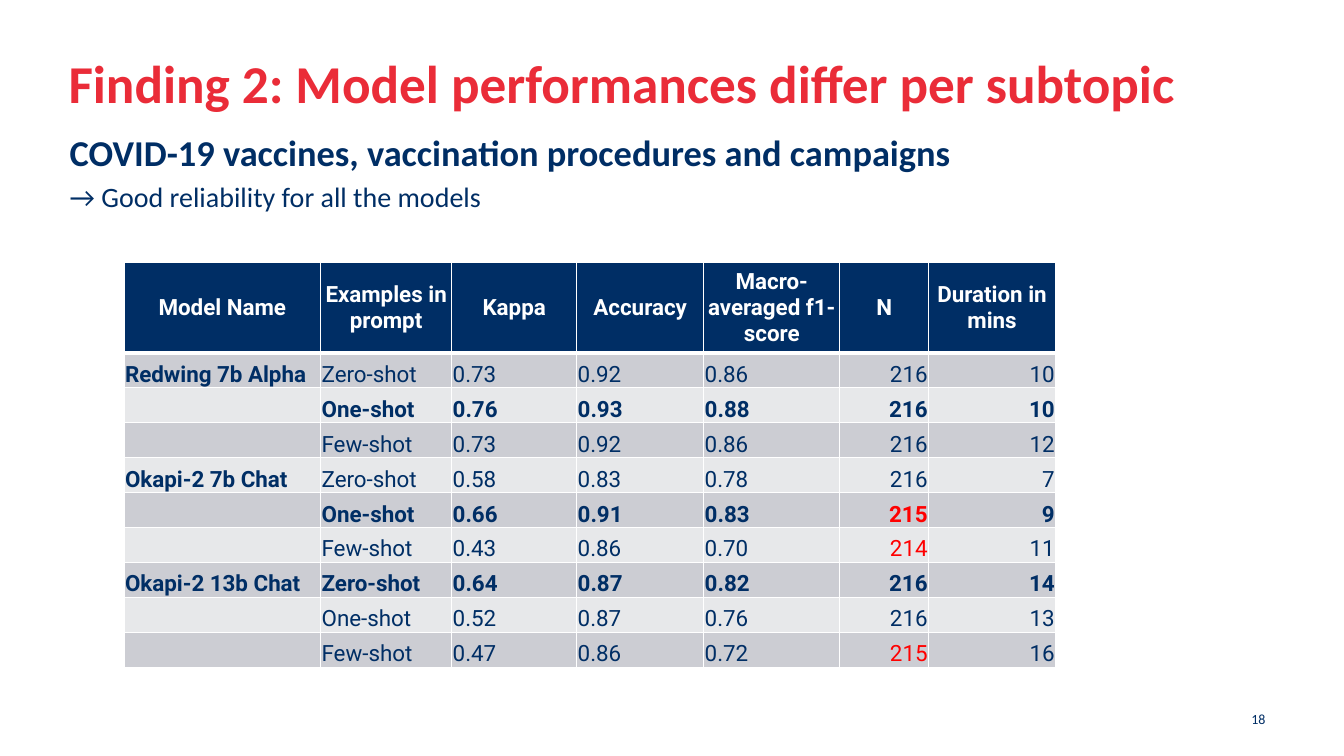
from dataclasses import dataclass

from lxml import etree
from pptx import Presentation
from pptx.dml.color import RGBColor
from pptx.enum.text import MSO_ANCHOR, MSO_AUTO_SIZE, PP_ALIGN
from pptx.oxml.ns import qn
from pptx.util import Inches, Pt

LEFT, CENTER, RIGHT = PP_ALIGN.LEFT, PP_ALIGN.CENTER, PP_ALIGN.RIGHT
TOP, MIDDLE, BOTTOM = MSO_ANCHOR.TOP, MSO_ANCHOR.MIDDLE, MSO_ANCHOR.BOTTOM
NO_AUTOFIT = MSO_AUTO_SIZE.NONE
SLIDE_W, SLIDE_H = Inches(13.33), Inches(7.5)


@dataclass(frozen=True)
class Theme:
    text_font: str = "Calibri"
    table_font: str = "Roboto"
    navy: str = "002E65"
    red: str = "EA2C38"
    alert: str = "FF0000"
    white: str = "FFFFFF"
    bands: tuple = ("CCCDD3", "E7E8EA")
    title: int = 38
    heading: int = 26
    body: int = 20
    table: int = 16
    number: int = 10


THEME = Theme()

# Table content: the best kappa of each model is bold, a short sample is red
HEADERS = ["Model Name", "Examples in prompt", "Kappa", "Accuracy",
           "Macro-averaged f1- score", "N", "Duration in mins"]
COLUMN_WEIGHTS = [195, 130, 124, 126, 135, 88, 126]
HEADER_WEIGHT, ROW_WEIGHT = 90, 34.67
SHOTS = ["Zero-shot", "One-shot", "Few-shot"]
FULL_SAMPLE = 216
RESULTS = {
    "Redwing 7b Alpha": [(0.73, 0.92, 0.86, 216, 10),
                         (0.76, 0.93, 0.88, 216, 10),
                         (0.73, 0.92, 0.86, 216, 12)],
    "Okapi-2 7b Chat": [(0.58, 0.83, 0.78, 216, 7),
                        (0.66, 0.91, 0.83, 215, 9),
                        (0.43, 0.86, 0.70, 214, 11)],
    "Okapi-2 13b Chat": [(0.64, 0.87, 0.82, 216, 14),
                         (0.52, 0.87, 0.76, 216, 13),
                         (0.47, 0.86, 0.72, 215, 16)],
}


def box(left, top, width, height):
    """Turn percentages of the slide into a position and size."""
    return (int(SLIDE_W * left / 100), int(SLIDE_H * top / 100),
            int(SLIDE_W * width / 100), int(SLIDE_H * height / 100))


def place(sp, area):
    sp.left, sp.top, sp.width, sp.height = area


def style(p, font, size, color, bold=False, align=LEFT):
    p.alignment = align
    p.font.name, p.font.size, p.font.bold = font, Pt(size), bold
    p.font.color.rgb = RGBColor.from_string(color)


def plain_frame(sp):
    tf = sp.text_frame
    tf.margin_left = tf.margin_top = tf.margin_right = tf.margin_bottom = 0
    tf.vertical_anchor, tf.auto_size, tf.word_wrap = TOP, NO_AUTOFIT, True
    return tf


def add_title(s, text):
    sp = s.shapes.title
    place(sp, box(5.1, 6.67, 89.8, 11.6))
    tf = plain_frame(sp)
    tf.text = text
    style(tf.paragraphs[0], THEME.text_font, THEME.title, THEME.red, True)


def add_body(s, lines):
    sp = s.placeholders[1]
    place(sp, box(5.18, 17.2, 89.72, 12.93))
    tf = plain_frame(sp)
    tf.text = "\n".join(text for text, _, _ in lines)
    for p, (_, size, bold) in zip(tf.paragraphs, lines):
        style(p, THEME.text_font, size, THEME.navy, bold)
        p.space_before = Pt(size * 0.2)
        pPr = p._p.get_or_add_pPr()
        pPr.set("marL", "0")
        pPr.set("indent", "0")
        bullet = etree.Element(qn("a:buNone"))
        pPr.find(qn("a:spcBef")).addnext(bullet)


def add_slide_number(s, text):
    tf = s.shapes.add_textbox(*box(73.22, 92.4, 21.68, 5.33)).text_frame
    tf.word_wrap, tf.vertical_anchor = True, MIDDLE
    tf.text = text
    p = tf.paragraphs[0]
    style(p, THEME.text_font, THEME.number, THEME.navy, align=RIGHT)
    p.space_after = Pt(6)


def set_borders(cell, widths):
    tcPr = cell._tc.get_or_add_tcPr()
    for i, (side, width) in enumerate(zip("LRTB", widths)):
        ln = etree.Element(qn("a:ln" + side), w=str(Pt(width)))
        fill = etree.SubElement(ln, qn("a:solidFill"))
        etree.SubElement(fill, qn("a:srgbClr"), val=THEME.white)
        tcPr.insert(i, ln)


def fill_cell(cell, text, fill, color, bold, align, anchor, borders):
    cell.margin_left = cell.margin_top = cell.margin_right = Inches(0.01)
    cell.margin_bottom = 0
    cell.vertical_anchor = anchor
    cell.fill.solid()
    cell.fill.fore_color.rgb = RGBColor.from_string(fill)
    set_borders(cell, borders)
    cell.text = text
    style(cell.text_frame.paragraphs[0], THEME.table_font, THEME.table,
          color, bold, align)


def result_rows():
    """Yield the texts of each row, whether it is best, and its sample size."""
    for model, runs in RESULTS.items():
        best = max(kappa for kappa, *_ in runs)
        for i, (shot, (*scores, n, mins)) in enumerate(zip(SHOTS, runs)):
            texts = [model if i == 0 else "", shot,
                     *(f"{score:.2f}" for score in scores), str(n), str(mins)]
            yield texts, scores[0] == best, n


def add_results_table(s):
    rows = list(result_rows())
    area = box(9.23, 34.67, 69.32, 53.6)
    table = s.shapes.add_table(len(rows) + 1, len(HEADERS), *area).table

    # Column and row sizes
    for column, weight in zip(table.columns, COLUMN_WEIGHTS):
        column.width = int(area[2] * weight / sum(COLUMN_WEIGHTS))
    row_weights = [HEADER_WEIGHT] + [ROW_WEIGHT] * len(rows)
    for row, weight in zip(table.rows, row_weights):
        row.height = int(area[3] * weight / sum(row_weights))

    # Header
    for c, text in enumerate(HEADERS):
        fill_cell(table.cell(0, c), text, THEME.navy, THEME.white, True,
                  CENTER, MIDDLE, (1, 1, 1, 3))

    # Results
    n_column = HEADERS.index("N")
    for r, (texts, best, n) in enumerate(rows, 1):
        for c, text in enumerate(texts):
            short = c == n_column and n < FULL_SAMPLE
            fill_cell(table.cell(r, c), text, THEME.bands[(r - 1) % 2],
                      THEME.alert if short else THEME.navy, best or c == 0,
                      RIGHT if c >= n_column else LEFT, BOTTOM,
                      (1, 1, 3 if r == 1 else 1, 1))


def main():
    prs = Presentation()
    prs.slide_width, prs.slide_height = SLIDE_W, SLIDE_H
    s = prs.slides.add_slide(prs.slide_layouts[1])
    add_title(s, "Finding 2: Model performances differ per subtopic")
    add_slide_number(s, "18")
    add_body(s, [
        ("COVID-19 vaccines, vaccination procedures and campaigns",
         THEME.heading, True),
        ("→ Good reliability for all the models", THEME.body, False),
    ])
    add_results_table(s)
    prs.save("out.pptx")


if __name__ == "__main__":
    main()
